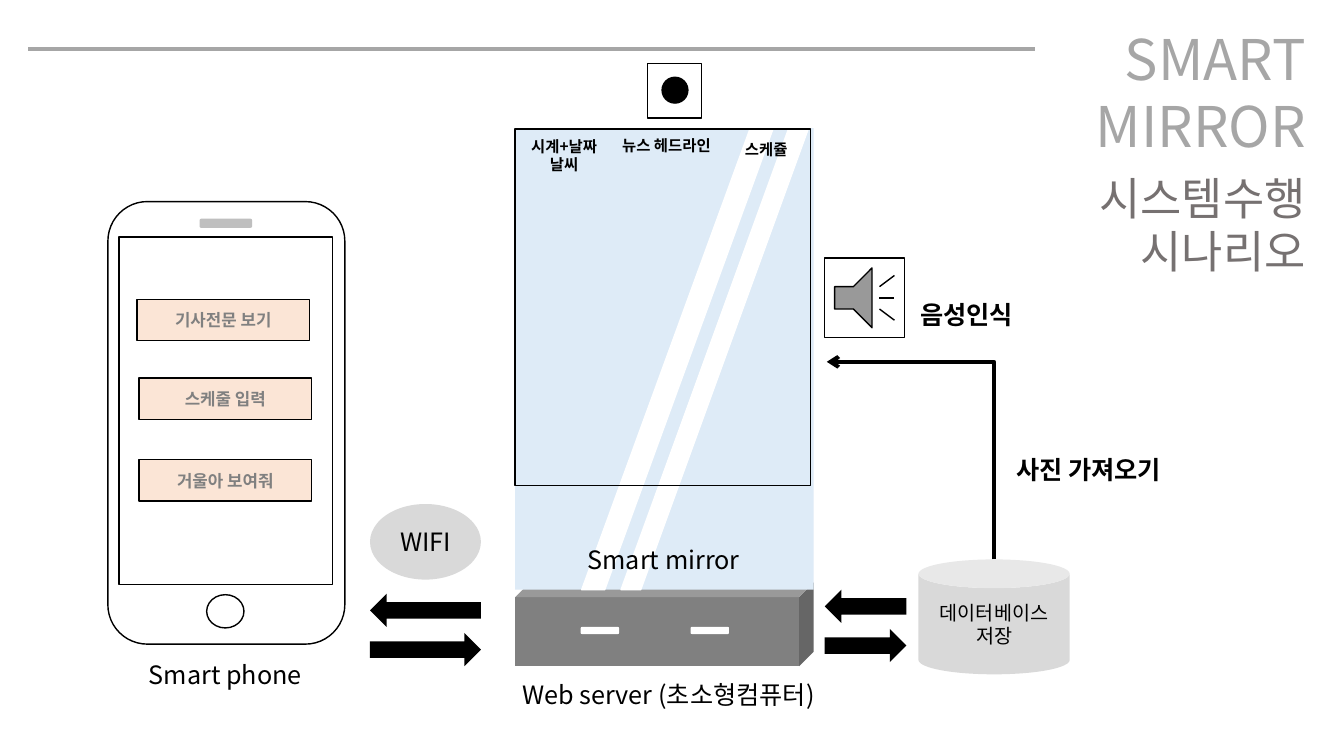
from pptx import Presentation
from pptx.dml.color import RGBColor
from pptx.enum import shapes as kinds, text as t
from pptx.oxml.ns import qn
from pptx.util import Inches, Pt
from lxml import etree

FONT = "Noto Sans CJK KR"
BLACK = RGBColor(0x00, 0x00, 0x00)
WHITE = RGBColor(0xFF, 0xFF, 0xFF)
TITLE_GRAY = RGBColor(0xA6, 0xA6, 0xA6)
SUBTITLE_GRAY = RGBColor(0x76, 0x71, 0x71)
LIGHT_GRAY = RGBColor(0xD9, 0xD9, 0xD9)
SPEAKER_GRAY = RGBColor(0xBF, 0xBF, 0xBF)
MID_GRAY = RGBColor(0x80, 0x80, 0x80)
GLASS_BLUE = RGBColor(0xDE, 0xEB, 0xF7)
BUTTON_PEACH = RGBColor(0xFB, 0xE5, 0xD6)

KIND = kinds.MSO_SHAPE
CENTER, LEFT, RIGHT = t.PP_ALIGN.CENTER, t.PP_ALIGN.LEFT, t.PP_ALIGN.RIGHT


def write(frame, lines, size, color=BLACK, bold=False, align=CENTER):
    frame.word_wrap = True
    for index, line in enumerate(lines):
        paragraph = frame.add_paragraph() if index else frame.paragraphs[0]
        paragraph.alignment = align
        paragraph.line_spacing = 1.0
        paragraph.space_before = Pt(0)
        run = paragraph.add_run()
        run.text = line
        font = run.font
        font.name, font.size, font.bold = FONT, Pt(size), bold
        font.color.rgb = color
        east_asian = etree.SubElement(font._element, qn("a:ea"))
        east_asian.set("typeface", FONT)


def add_label(parent, box, lines, size=18, color=BLACK, bold=False, align=CENTER):
    label = parent.add_textbox(*map(Inches, box))
    write(label.text_frame, lines, size, color, bold, align)


def add_part(parent, kind, box, fill=None, line=None, adjust=None):
    shape = parent.add_shape(kind, *map(Inches, box))
    shape.shadow.inherit = False
    if fill is None:
        shape.fill.background()
    else:
        shape.fill.solid()
        shape.fill.fore_color.rgb = fill
    if line is None:
        shape.line.fill.background()
    else:
        shape.line.color.rgb = line
        shape.line.width = Pt(1)
    if adjust is not None:
        shape.adjustments[0] = adjust
    return shape


def add_caption(shape, lines, size, color=BLACK, bold=False):
    shape.text_frame.vertical_anchor = t.MSO_ANCHOR.MIDDLE
    write(shape.text_frame, lines, size, color, bold)


def style_connector(connector, color, width):
    connector.line.color.rgb = color
    connector.line.width = Pt(width)
    etree.SubElement(connector._element.spPr, qn("a:effectLst"))


def add_heading(slide, left, top, width):
    title = slide.shapes.title
    title.left, title.top = Inches(left), Inches(top)
    title.width, title.height = Inches(width), Inches(1.45)
    title.text_frame.vertical_anchor = t.MSO_ANCHOR.TOP
    title.text_frame.auto_size = t.MSO_AUTO_SIZE.NONE
    write(title.text_frame, ["SMART", "MIRROR"], 40, TITLE_GRAY, align=RIGHT)
    add_label(slide.shapes, (left, top + 1.45, width, 1.18),
              ["시스템수행", "시나리오"], 32, SUBTITLE_GRAY, align=RIGHT)
    rule = slide.shapes.add_connector(
        kinds.MSO_CONNECTOR.STRAIGHT,
        Inches(0.28), Inches(top + 0.3), Inches(left + 0.8), Inches(top + 0.3))
    style_connector(rule, TITLE_GRAY, 3)


def add_exchange(slide, left, top, width):
    """Arrow to the left above an arrow to the right."""
    pair = slide.shapes.add_group_shape().shapes
    for row, angle in enumerate((180, 0)):
        arrow = add_part(pair, KIND.RIGHT_ARROW, (left, top + 0.39 * row, width, 0.33), BLACK)
        arrow.rotation = angle


def add_phone(slide, left, top, width, height):
    phone = slide.shapes.add_group_shape().shapes
    add_part(phone, KIND.ROUNDED_RECTANGLE, (left, top, width, height), WHITE, BLACK)
    add_part(phone, KIND.RECTANGLE, (left + 0.11, top + 0.35, 2.12, 3.45), line=BLACK)
    add_part(phone, KIND.OVAL, (left + 0.98, top + 3.9, 0.37, 0.33), WHITE, BLACK)
    add_part(phone, KIND.ROUNDED_RECTANGLE, (left + 0.91, top + 0.17, 0.52, 0.09), SPEAKER_GRAY)
    buttons = ((0.29, 0.97, "기사전문 보기"), (0.31, 1.75, "스케줄 입력"),
               (0.31, 2.56, "거울아 보여줘"))
    for x, y, caption in buttons:
        button = add_part(phone, KIND.RECTANGLE, (left + x, top + y, 1.71, 0.41),
                          BUTTON_PEACH, BLACK)
        add_caption(button, [caption], 12, MID_GRAY, True)
    add_label(slide.shapes, (left + 0.13, top + height + 0.1, 2.07, 0.4), ["Smart phone"])


def add_server(slide, left, top, width, height):
    server = slide.shapes.add_group_shape().shapes
    add_part(server, KIND.CUBE, (left, top, width, height), MID_GRAY, adjust=0.174)
    for x in (0.65, 1.74):
        add_part(server, KIND.ROUNDED_RECTANGLE, (left + x, top + 0.44, 0.38, 0.07), WHITE)
    add_label(slide.shapes, (left - 0.18, top + height + 0.08, 3.4, 0.4),
              ["Web server (초소형컴퓨터)"])


def add_mirror(slide, left, top, width, height):
    # Glass with two reflections
    glass = slide.shapes.add_group_shape().shapes
    add_part(glass, KIND.RECTANGLE, (left, top, width, height), GLASS_BLUE)
    for x, span, slant in ((0.66, 1.9, 0.88), (1.05, 1.86, 0.895)):
        add_part(glass, KIND.PARALLELOGRAM, (left + x, top, span, height), WHITE, WHITE, slant)
    add_label(slide.shapes, (left + 0.62, top + 4.08, 2.92, 0.4), ["Smart mirror"], align=LEFT)

    # Display area and its widgets
    add_part(slide.shapes, KIND.RECTANGLE, (left, top + 0.01, 2.93, 3.54), line=BLACK)
    widgets = ((-0.47, 0.04, 1.91, 0.47, ["시계+날짜", "날씨"]),
               (0.84, 0.03, 1.32, 0.29, ["뉴스 헤드라인"]),
               (2.08, 0.07, 0.82, 0.29, ["스케쥴"]))
    for x, y, span, rise, lines in widgets:
        add_label(slide.shapes, (left + x, top + y, span, rise), lines, 11, bold=True)

    # Camera above the glass
    camera = slide.shapes.add_group_shape().shapes
    add_part(camera, KIND.RECTANGLE, (left + 1.31, top - 0.64, 0.54, 0.54), line=BLACK)
    add_part(camera, KIND.OVAL, (left + 1.45, top - 0.51, 0.27, 0.27), BLACK)


def add_voice(slide, left, top, size):
    add_part(slide.shapes, KIND.ACTION_BUTTON_SOUND, (left, top, size, size), WHITE, BLACK)
    add_label(slide.shapes, (left + 0.85, top + 0.36, 1.45, 0.4), ["음성인식"],
              bold=True, align=LEFT)


def add_photo_arrow(slide, start_x, start_y, end_x, end_y):
    """Elbow that rises from the start, then runs left to the end."""
    run, rise = start_x - end_x, start_y - end_y
    middle_x, middle_y = (start_x + end_x) / 2, (start_y + end_y) / 2
    elbow = slide.shapes.add_connector(
        kinds.MSO_CONNECTOR.ELBOW,
        Inches(middle_x - rise / 2), Inches(middle_y - run / 2),
        Inches(middle_x + rise / 2), Inches(middle_y + run / 2))
    properties = elbow._element.spPr
    properties.find(qn("a:prstGeom")).set("prst", "bentConnector2")
    transform = properties.find(qn("a:xfrm"))
    transform.set("rot", str(270 * 60000))
    transform.set("flipV", "1")
    style_connector(elbow, BLACK, 2.75)
    etree.SubElement(properties.find(qn("a:ln")), qn("a:tailEnd")).set("type", "arrow")
    add_label(slide.shapes, (start_x + 0.12, end_y + 0.87, 1.9, 0.4), ["사진 가져오기"],
              bold=True, align=LEFT)


def add_database(slide, left, top, width, height):
    database = add_part(slide.shapes, KIND.CAN, (left, top, width, height), LIGHT_GRAY)
    add_caption(database, ["데이터베이스", "저장"], 14)
    add_photo_arrow(slide, left + width / 2, top, 8.2, 3.59)


def add_wifi(slide, left, top, width, height):
    wifi = add_part(slide.shapes, KIND.OVAL, (left, top, width, height), LIGHT_GRAY)
    add_caption(wifi, ["WIFI"], 18)
    add_exchange(slide, left, top + 0.89, width)


def main():
    presentation = Presentation()
    presentation.slide_width, presentation.slide_height = Inches(13.33), Inches(7.5)
    slide = presentation.slides.add_slide(presentation.slide_layouts[5])
    add_heading(slide, 9.47, 0.19, 3.58)
    add_database(slide, 9.11, 5.55, 1.5, 1.14)
    add_exchange(slide, 8.18, 5.85, 0.81)
    add_wifi(slide, 3.67, 5, 1.1, 0.75)
    add_server(slide, 5.11, 5.78, 2.96, 0.83)
    add_mirror(slide, 5.11, 1.27, 2.96, 4.58)
    add_phone(slide, 1.07, 2, 2.35, 4.39)
    add_voice(slide, 8.18, 2.56, 0.79)
    presentation.save("out.pptx")


if __name__ == "__main__":
    main()
